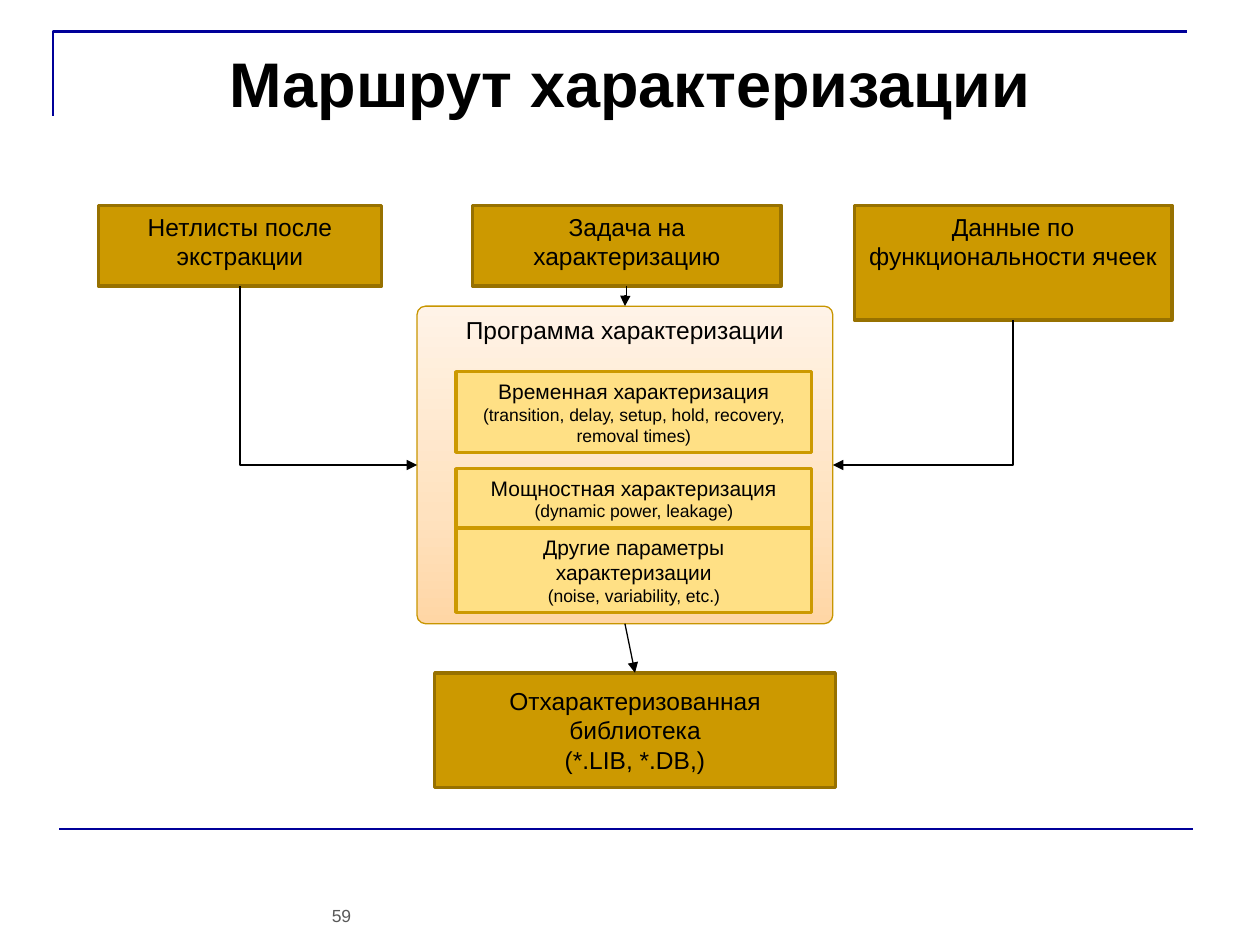
from copy import deepcopy

from lxml import etree
from pptx import Presentation
from pptx.dml.color import RGBColor
from pptx.enum.shapes import MSO_CONNECTOR, MSO_SHAPE
from pptx.enum.text import MSO_ANCHOR, PP_ALIGN
from pptx.oxml.ns import qn
from pptx.util import Inches, Pt

RECTANGLE = MSO_SHAPE.RECTANGLE
ROUNDED = MSO_SHAPE.ROUNDED_RECTANGLE
STRAIGHT = MSO_CONNECTOR.STRAIGHT
ELBOW = MSO_CONNECTOR.ELBOW
TOP, MIDDLE = MSO_ANCHOR.TOP, MSO_ANCHOR.MIDDLE
CENTER = PP_ALIGN.CENTER

FONT = "Arial"
BLACK, NAVY, GRAY = "000000", "000099", "595959"
GOLD, DARK_GOLD, PALE_GOLD = "CC9900", "977100", "FFE085"
PROGRAM_STOPS = [(0, "FFD6A5"), (0.35, "FFE2BF"), (1, "FFF3E7")]

INPUTS = [
    ((0.78, 1.63, 2.25, 0.64), "Нетлисты после экстракции"),
    ((3.75, 1.63, 2.45, 0.64), "Задача на характеризацию"),
    ((6.78, 1.63, 2.52, 0.91), "Данные по функциональности ячеек"),
]
STEPS = [
    (2.95, 0.64, "Временная характеризация",
     "(transition, delay, setup, hold, recovery, removal times)"),
    (3.72, 0.47, "Мощностная характеризация", "(dynamic power, leakage)"),
    (4.19, 0.67, "Другие параметры характеризации", "(noise, variability, etc.)"),
]
PROGRAM_BOX = (3.31, 2.43, 3.3, 2.52)
LIBRARY_BOX = (3.45, 5.34, 3.18, 0.91)


def color(value):
    return RGBColor.from_string(value)


def inches(values):
    return [Inches(value) for value in values]


def set_line(shape, value, width):
    shape.line.color.rgb = color(value)
    shape.line.width = Pt(width)


def write(frame, lines, anchor=TOP, ink=BLACK, bold=False, wrap=True):
    frame.word_wrap = wrap
    frame.vertical_anchor = anchor
    for index, (text, size) in enumerate(lines):
        para = frame.add_paragraph() if index else frame.paragraphs[0]
        para.alignment = CENTER
        span = para.add_run()
        span.text = text
        span.font.name = FONT
        span.font.size = Pt(size)
        span.font.bold = bold
        span.font.color.rgb = color(ink)


def add_block(page, box, lines, fill, outline, anchor=TOP):
    block = page.shapes.add_shape(RECTANGLE, *inches(box))
    block.shadow.inherit = False
    block.fill.solid()
    block.fill.fore_color.rgb = color(fill)
    set_line(block, outline, 2)
    write(block.text_frame, lines, anchor)


def add_line(page, kind, start, end, value, width):
    line = page.shapes.add_connector(kind, *inches(start + end))
    set_line(line, value, width)
    etree.SubElement(line._element.spPr, qn("a:effectLst"))
    return line


def add_arrow(page, kind, start, end):
    arrow = add_line(page, kind, start, end, BLACK, 0.75)
    tail = etree.SubElement(arrow.line._get_or_add_ln(), qn("a:tailEnd"))
    tail.set("type", "triangle")
    return arrow


def add_downward_elbow(page, start, end, preset):
    width, height = end[1] - start[1], abs(end[0] - start[0])
    left = (start[0] + end[0] - width) / 2
    top = (start[1] + end[1] - height) / 2
    right, bottom = left + width, top + height
    if end[0] > start[0]:
        arrow = add_arrow(page, ELBOW, (right, top), (left, bottom))
        turn = 270
    else:
        arrow = add_arrow(page, ELBOW, (left, top), (right, bottom))
        turn = 90
    properties = arrow._element.spPr
    properties.find(qn("a:xfrm")).set("rot", str(turn * 60000))
    properties.find(qn("a:prstGeom")).set("prst", preset)


def add_frame(page, box):
    left, top, width, height = box
    builder = page.shapes.build_freeform(Inches(left), Inches(top + height))
    corners = [(left, top), (left + width, top)]
    builder.add_line_segments([inches(corner) for corner in corners], close=False)
    corner = builder.convert_to_shape()
    corner.shadow.inherit = False
    corner.fill.background()
    set_line(corner, NAVY, 1.5)
    add_line(page, STRAIGHT, (0.47, 6.58), (9.47, 6.58), NAVY, 1.5)
    number = page.shapes.add_textbox(*inches((2.5, 7.13, 0.42, 0.27)))
    write(number.text_frame, [("59", 10)], ink=GRAY)


def add_title(page, box):
    title = page.shapes.title
    title.left, title.top, title.width, title.height = inches(box)
    write(title.text_frame, [("Маршрут характеризации", 36)], bold=True)


def add_program(page, box):
    program = page.shapes.add_shape(ROUNDED, *inches(box))
    program.adjustments[0] = 0.027
    program.shadow.inherit = False
    program.fill.gradient()
    program.fill.gradient_angle = 90
    stop_list = program._element.spPr.find(".//" + qn("a:gsLst"))
    stop_list.insert(1, deepcopy(stop_list[0]))
    for stop, (position, value) in zip(program.fill.gradient_stops, PROGRAM_STOPS):
        stop.position = position
        stop.color.rgb = color(value)
    set_line(program, "C89600", 0.75)
    write(program.text_frame, [("Программа характеризации", 14)], wrap=False)
    for top, height, name, details in STEPS:
        add_block(page, (box[0] + 0.31, top, 2.82, height),
                  [(name, 12), (details, 10)], PALE_GOLD, GOLD, MIDDLE)


def add_inputs(page, program_box):
    left, top, width, height = program_box
    middle, side = left + width / 2, 3.69
    routes = [((left, side), "bentConnector2"),
              ((middle, top), "bentConnector3"),
              ((left + width, side), "bentConnector2")]
    for (box, text), (target, preset) in zip(INPUTS, routes):
        add_block(page, box, [(text, 14)], GOLD, DARK_GOLD)
        start = (box[0] + box[2] / 2, box[1] + box[3])
        add_downward_elbow(page, start, target, preset)


def add_library(page, box, program_box):
    add_block(page, box, [("Отхарактеризованная библиотека", 14),
                          ("(*.LIB, *.DB,)", 14)], GOLD, DARK_GOLD, MIDDLE)
    left, top, width, height = program_box
    add_arrow(page, STRAIGHT, (left + width / 2, top + height),
              (box[0] + box[2] / 2, box[1]))


def main():
    deck = Presentation()
    deck.slide_width, deck.slide_height = Inches(10), Inches(7.5)
    page = deck.slides.add_slide(deck.slide_layouts[5])
    add_frame(page, (0.42, 0.25, 9, 0.67))
    add_title(page, (0.5, 0.3, 9, 1.25))
    add_program(page, PROGRAM_BOX)
    add_inputs(page, PROGRAM_BOX)
    add_library(page, LIBRARY_BOX, PROGRAM_BOX)
    deck.save("out.pptx")


if __name__ == "__main__":
    main()
